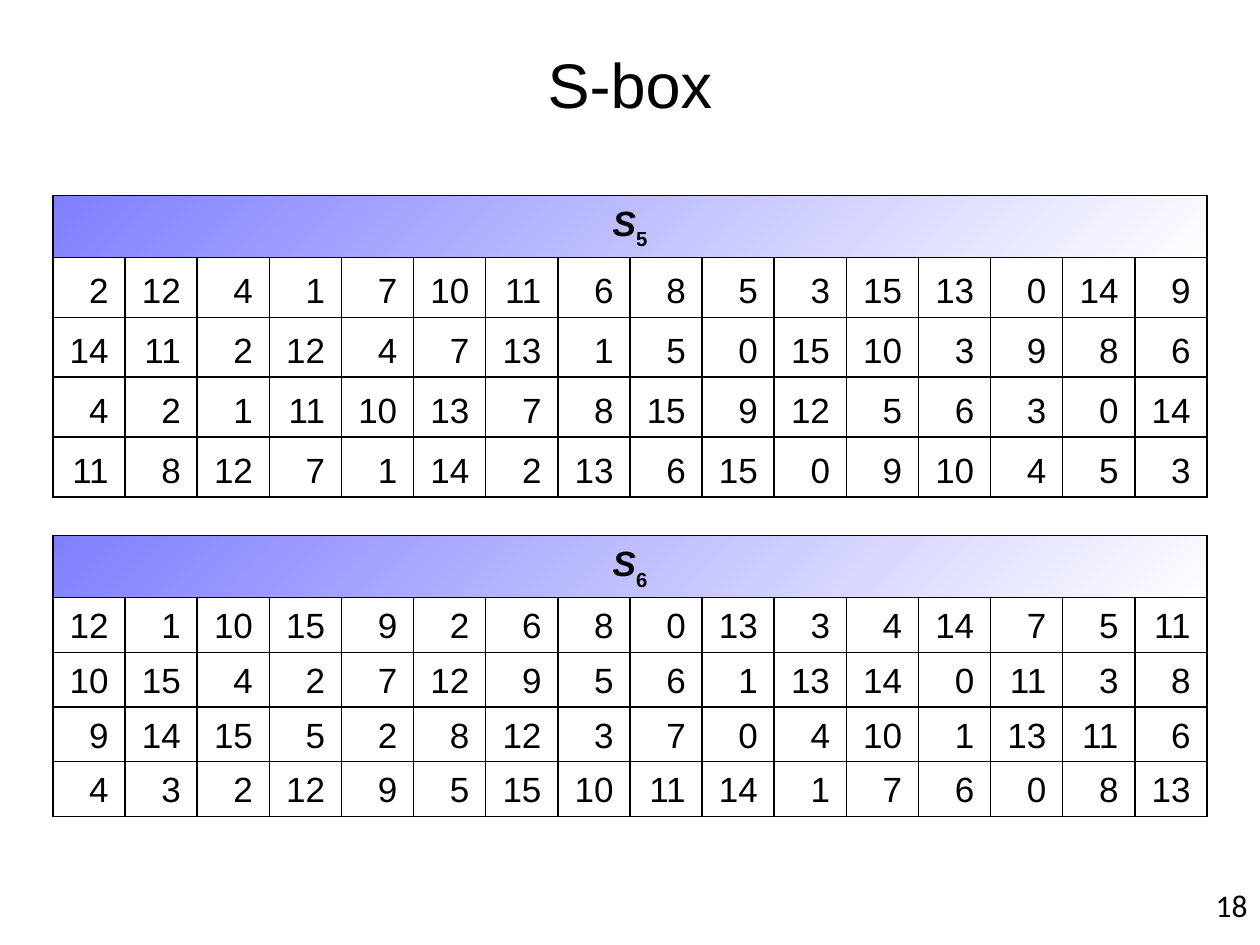
from lxml.etree import SubElement
from pptx import Presentation
from pptx.dml.color import RGBColor
from pptx.enum.text import MSO_ANCHOR, PP_ALIGN
from pptx.oxml.ns import qn
from pptx.util import Inches, Pt

COLORS = {"ink": "000000", "header_start": "0000FF", "header_end": "FFFFFF"}

WIDTH, HEIGHT = 10, 7.5
MARGIN = 0.42
CONTENT_WIDTH = WIDTH - 2 * MARGIN
HEADER_HEIGHT = 0.47

S5_ROWS = [
    [2, 12, 4, 1, 7, 10, 11, 6, 8, 5, 3, 15, 13, 0, 14, 9],
    [14, 11, 2, 12, 4, 7, 13, 1, 5, 0, 15, 10, 3, 9, 8, 6],
    [4, 2, 1, 11, 10, 13, 7, 8, 15, 9, 12, 5, 6, 3, 0, 14],
    [11, 8, 12, 7, 1, 14, 2, 13, 6, 15, 0, 9, 10, 4, 5, 3],
]
S6_ROWS = [
    [12, 1, 10, 15, 9, 2, 6, 8, 0, 13, 3, 4, 14, 7, 5, 11],
    [10, 15, 4, 2, 7, 12, 9, 5, 6, 1, 13, 14, 0, 11, 3, 8],
    [9, 14, 15, 5, 2, 8, 12, 3, 7, 0, 4, 10, 1, 13, 11, 6],
    [4, 3, 2, 12, 9, 5, 15, 10, 11, 14, 1, 7, 6, 0, 8, 13],
]


class SlideBuilder:
    def __init__(self, slide, font="Arial", table_size=20):
        self.slide = slide
        self.font = font
        self.table_size = table_size

    def run(self, paragraph, text, size, font=None, bold=False, italic=False):
        run = paragraph.add_run()
        run.text = text
        run.font.name = font or self.font
        run.font.size = Pt(size)
        run.font.bold = bold
        run.font.italic = italic
        run.font.color.rgb = RGBColor.from_string(COLORS["ink"])
        return run

    def text(self, text, left, top, width, height, size, align, anchor, font=None):
        box = self.slide.shapes.add_textbox(
            Inches(left), Inches(top), Inches(width), Inches(height))
        frame = box.text_frame
        frame.word_wrap = True
        frame.vertical_anchor = anchor
        paragraph = frame.paragraphs[0]
        paragraph.alignment = align
        self.run(paragraph, text, size, font)

    def border(self, cell):
        properties = cell._tc.get_or_add_tcPr()
        for side in ("a:lnL", "a:lnR", "a:lnT", "a:lnB"):
            line = SubElement(properties, qn(side), w=str(Pt(1)))
            fill = SubElement(line, qn("a:solidFill"))
            SubElement(fill, qn("a:srgbClr"), val=COLORS["ink"])

    def header_gradient(self, cell):
        cell.fill.gradient()
        cell.fill.gradient_angle = 315
        stops = cell.fill.gradient_stops
        for stop, position, name in zip(stops, (0, 1), ("header_start", "header_end")):
            stop.position = position
            stop.color.rgb = RGBColor.from_string(COLORS[name])
        gradient = cell._tc.tcPr.find(qn("a:gradFill"))
        for color in gradient.iter(qn("a:srgbClr")):
            SubElement(color, qn("a:alpha"), val="50000")

    def s_box(self, index, rows, top, row_height):
        """Add a table with a header S_index above the substitution values."""
        columns = len(rows[0])
        height = HEADER_HEIGHT + row_height * len(rows)
        table = self.slide.shapes.add_table(
            len(rows) + 1, columns, Inches(MARGIN), Inches(top),
            Inches(CONTENT_WIDTH), Inches(height)).table
        table.first_row = table.horz_banding = False
        for column in table.columns:
            column.width = Inches(CONTENT_WIDTH / columns)
        for row in table.rows:
            row.height = Inches(row_height)
        table.rows[0].height = Inches(HEADER_HEIGHT)
        for cell in table.iter_cells():
            self.border(cell)
            cell.fill.background()
            cell.vertical_anchor = MSO_ANCHOR.BOTTOM

        header = table.cell(0, 0)
        header.merge(table.cell(0, columns - 1))
        self.header_gradient(header)
        heading = header.text_frame.paragraphs[0]
        heading.alignment = PP_ALIGN.CENTER
        self.run(heading, "S", self.table_size, bold=True, italic=True)
        subscript = self.run(heading, str(index), self.table_size, bold=True)
        subscript.font._element.set("baseline", "-30000")

        for row_number, values in enumerate(rows, start=1):
            for column_number, value in enumerate(values):
                cell = table.cell(row_number, column_number)
                cell.margin_right = Inches(0.13)
                paragraph = cell.text_frame.paragraphs[0]
                paragraph.alignment = PP_ALIGN.RIGHT
                self.run(paragraph, str(value), self.table_size)


def main():
    presentation = Presentation()
    presentation.slide_width = Inches(WIDTH)
    presentation.slide_height = Inches(HEIGHT)
    builder = SlideBuilder(presentation.slides.add_slide(presentation.slide_layouts[6]))

    builder.text("S-box", MARGIN, 0.37, CONTENT_WIDTH, 0.58, 36,
                 PP_ALIGN.CENTER, MSO_ANCHOR.MIDDLE)
    builder.s_box(5, S5_ROWS, top=1.55, row_height=0.475)
    builder.s_box(6, S6_ROWS, top=4.25, row_height=0.41)
    builder.text("18", 7.67, 6.98, WIDTH - 7.67, HEIGHT - 6.98, 18,
                 PP_ALIGN.RIGHT, MSO_ANCHOR.TOP, "Calibri")
    presentation.save("out.pptx")


if __name__ == "__main__":
    main()
